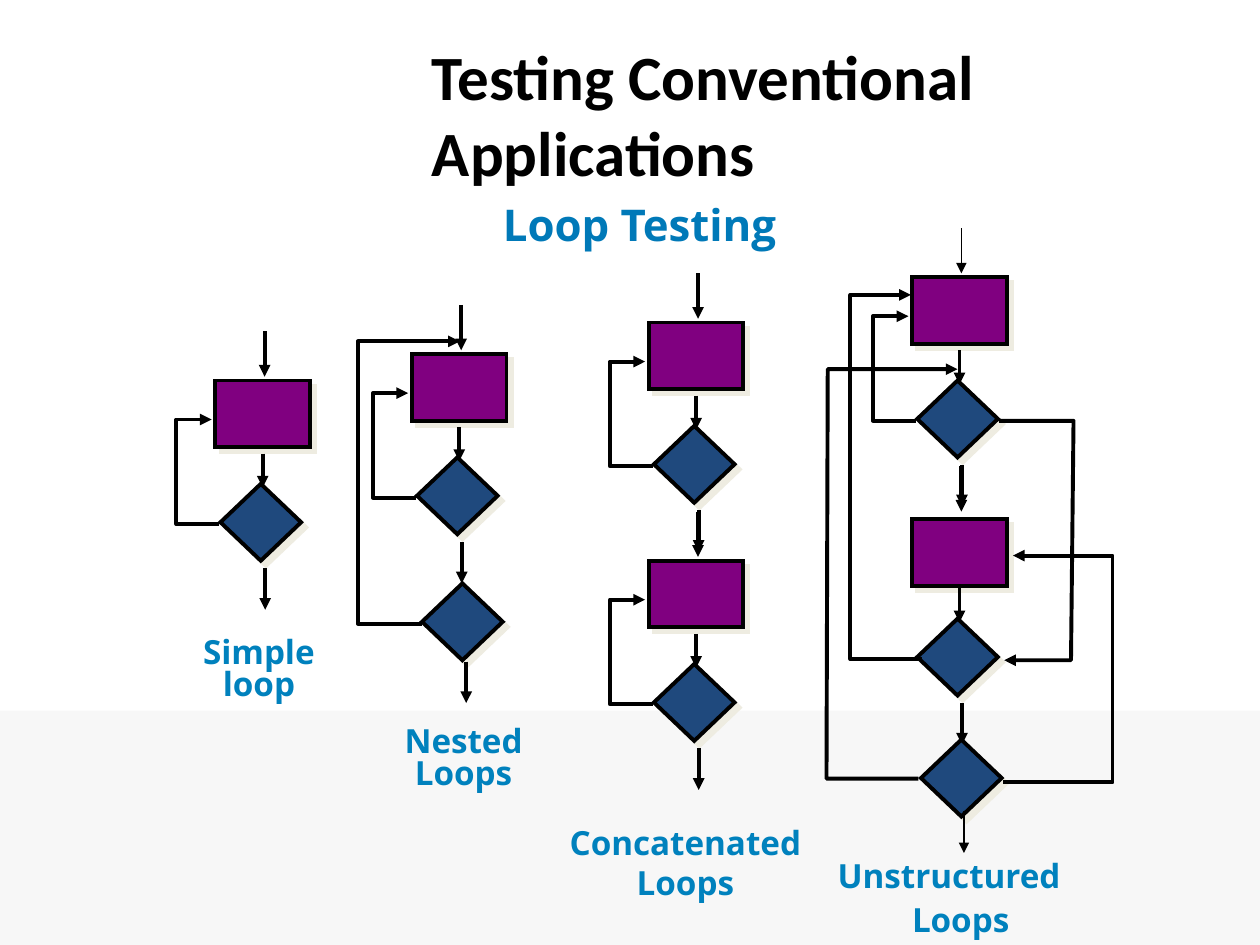
from lxml import etree
from pptx import Presentation
from pptx import util as u
from pptx.dml.color import RGBColor
from pptx.enum import shapes as es, text as et
from pptx.oxml import ns

HUES = {"band": "F7F7F7", "title": "0079B8", "label": "0081BD", "box": "800080",
        "gem": "1F497D", "ink": "000000", "shade": "EEECE1"}
THICK, THIN = 2.24, 0.99
SANS = "Open Sans"


def hue(name):
    """Look up a colour."""
    return RGBColor.from_string(HUES[name])


def sub(node, tag, **attrs):
    """Append a drawing element to a node."""
    return etree.SubElement(node, ns.qn("a:" + tag), attrs)


def place(shape, x, y, w, h):
    """Move a shape to a box in inches."""
    shape.left, shape.top = u.Inches(x), u.Inches(y)
    shape.width, shape.height = u.Inches(w), u.Inches(h)


def write(frame, lines, size, font, color, align, space=None):
    """Write each line as a paragraph of one bold run."""
    for i, line in enumerate(lines):
        para = frame.paragraphs[0] if i == 0 else frame.add_paragraph()
        para.alignment = align
        if space:
            para.line_spacing = space
        run = para.add_run()
        run.text = line
        run.font.size, run.font.name, run.font.bold = u.Pt(size), font, True
        run.font.color.rgb = hue(color)


def block(slide, kind, color, x, y, w, h):
    """Draw an outlined node with a hard shadow."""
    node = slide.shapes.add_shape(kind, *map(u.Inches, (x, y, w, h)))
    node.fill.solid()
    node.fill.fore_color.rgb = hue(color)
    node.line.color.rgb = hue("ink")
    node.line.width = u.Pt(THICK)
    sub(node.line._get_or_add_ln(), "miter", lim="800000")
    node.shadow.inherit = False
    glow = sub(node._element.spPr.find(ns.qn("a:effectLst")), "outerShdw",
               dist=str(u.Pt(4.2)), dir="2700000", algn="ctr", rotWithShape="0")
    sub(glow, "srgbClr", val=HUES["shade"])


def box(slide, x, y):
    """Draw a process box."""
    block(slide, es.MSO_SHAPE.RECTANGLE, "box", x, y, 0.75, 0.53)


def gem(slide, x, y):
    """Draw a decision diamond."""
    block(slide, es.MSO_SHAPE.DIAMOND, "gem", x, y, 0.64, 0.61)


def tip(shape, width):
    """Style a line and give its end an arrowhead."""
    shape.line.color.rgb = hue("ink")
    shape.line.width = u.Pt(width)
    sub(shape.line._get_or_add_ln(), "tailEnd", type="triangle")


def down(slide, x, top, end, width=THICK):
    """Draw an arrow straight down."""
    line = slide.shapes.add_connector(es.MSO_CONNECTOR.STRAIGHT,
                                      *map(u.Inches, (x, top, x, end)))
    tip(line, width)
    sub(line._element.spPr, "effectLst")


def route(slide, *points):
    """Draw a bent arrow through points."""
    start, *rest = [(u.Inches(x), u.Inches(y)) for x, y in points]
    path = slide.shapes.build_freeform(*start)
    path.add_line_segments(rest, close=False)
    bend = path.convert_to_shape()
    bend.fill.background()
    bend.shadow.inherit = False
    tip(bend, THICK)


def loop(slide, x, y, back=True, drop=0, width=THICK):
    """Draw a box over a diamond with the arrows in, between and back."""
    box(slide, x, y + drop)
    gem(slide, x + 0.04, y + 0.82)
    down(slide, x + 0.39, y - 0.39, y - 0.03, width)
    down(slide, x + 0.375, y + 0.58, y + 0.85)
    if back:
        route(slide, (x + 0.03, y + 1.14), (x - 0.31, y + 1.14),
              (x - 0.31, y + 0.31), (x - 0.03, y + 0.31))
    down(slide, x + 0.395, y + 1.49, y + 1.82)


def label(slide, x, y, w, h, lines, align=et.PP_ALIGN.CENTER, space=None):
    """Write the name of a loop kind."""
    area = slide.shapes.add_textbox(*map(u.Inches, (x, y, w, h)))
    area.text_frame.word_wrap = False
    write(area.text_frame, lines, 19, SANS, "label", align, space)


def simple(slide, x, y):
    """Draw the simple loop."""
    loop(slide, x, y)
    label(slide, x - 0.23, y + 2, 1.15, 0.6, ["Simple ", "loop"], space=0.8)


def nested(slide, x, y):
    """Draw the nested loops."""
    loop(slide, x, y)
    gem(slide, x + 0.08, y + 1.82)
    down(slide, x + 0.43, y + 2.44, y + 2.77)
    route(slide, (x + 0.08, y + 2.14), (x - 0.43, y + 2.14),
          (x - 0.43, y - 0.1), (x + 0.38, y - 0.1))
    label(slide, x - 0.19, y + 2.92, 1.2, 0.6, ["Nested ", "Loops"], space=0.8)


def chain(slide, x, y):
    """Draw the concatenated loops."""
    for i in range(2):
        loop(slide, x, y + i * 1.89)
    label(slide, x - 0.73, y + 3.92, 2.04, 0.73, ["Concatenated", "Loops"])


def tangle(slide, x, y):
    """Draw the unstructured loops."""
    loop(slide, x, y, width=THIN)
    loop(slide, x, y + 1.89, back=False, drop=0.03)
    route(slide, (x + 0.08, y + 3.03), (x - 0.49, y + 3.03),
          (x - 0.49, y + 0.14), (x - 0.01, y + 0.14))
    route(slide, (x + 0.69, y + 1.14), (x + 1.28, y + 1.14),
          (x + 1.26, y + 3.04), (x + 0.73, y + 3.04))
    gem(slide, x + 0.07, y + 3.67)
    route(slide, (x + 0.72, y + 4.01), (x + 1.59, y + 4.01),
          (x + 1.59, y + 2.21), (x + 0.8, y + 2.21))
    route(slide, (x + 0.05, y + 3.98), (x - 0.68, y + 3.98),
          (x - 0.67, y + 0.73), (x + 0.36, y + 0.73))
    down(slide, x + 0.41, y + 4.24, y + 4.57, THIN)
    left = et.PP_ALIGN.LEFT
    label(slide, x - 0.69, y + 4.54, 1.97, 0.41, ["Unstructured"], left)
    label(slide, x - 0.1, y + 4.89, 0.97, 0.41, ["Loops"], left)


def heads(slide, x, y):
    """Place the footer band, the heading and the title."""
    band = slide.shapes.add_shape(es.MSO_SHAPE.RECTANGLE,
                                  *map(u.Inches, (0, 5.64, 10, 1.86)))
    band.fill.solid()
    band.fill.fore_color.rgb = hue("band")
    band.line.fill.background()
    band.shadow.inherit = False
    title = slide.shapes.title
    place(title, x - 0.86, y + 1.25, 5.21, 0.55)
    title.text_frame.auto_size = et.MSO_AUTO_SIZE.NONE
    title.text_frame.vertical_anchor = et.MSO_ANCHOR.MIDDLE
    write(title.text_frame, ["Loop Testing"], 25, SANS, "title", et.PP_ALIGN.CENTER)
    head = slide.shapes.add_textbox(*map(u.Inches, (x, y, 6.08, 1.3)))
    head.text_frame.word_wrap = True
    write(head.text_frame, ["Testing Conventional Applications"], 36, "Calibri",
          "ink", et.PP_ALIGN.LEFT)


def main():
    """Build and save the slide."""
    deck = Presentation()
    deck.slide_width, deck.slide_height = u.Inches(10), u.Inches(7.5)
    slide = deck.slides.add_slide(deck.slide_layouts[5])
    heads(slide, 3.33, 0.25)
    simple(slide, 1.71, 3.02)
    nested(slide, 3.27, 2.81)
    chain(slide, 5.15, 2.56)
    tangle(slide, 7.24, 2.2)
    deck.save("out.pptx")


main()
